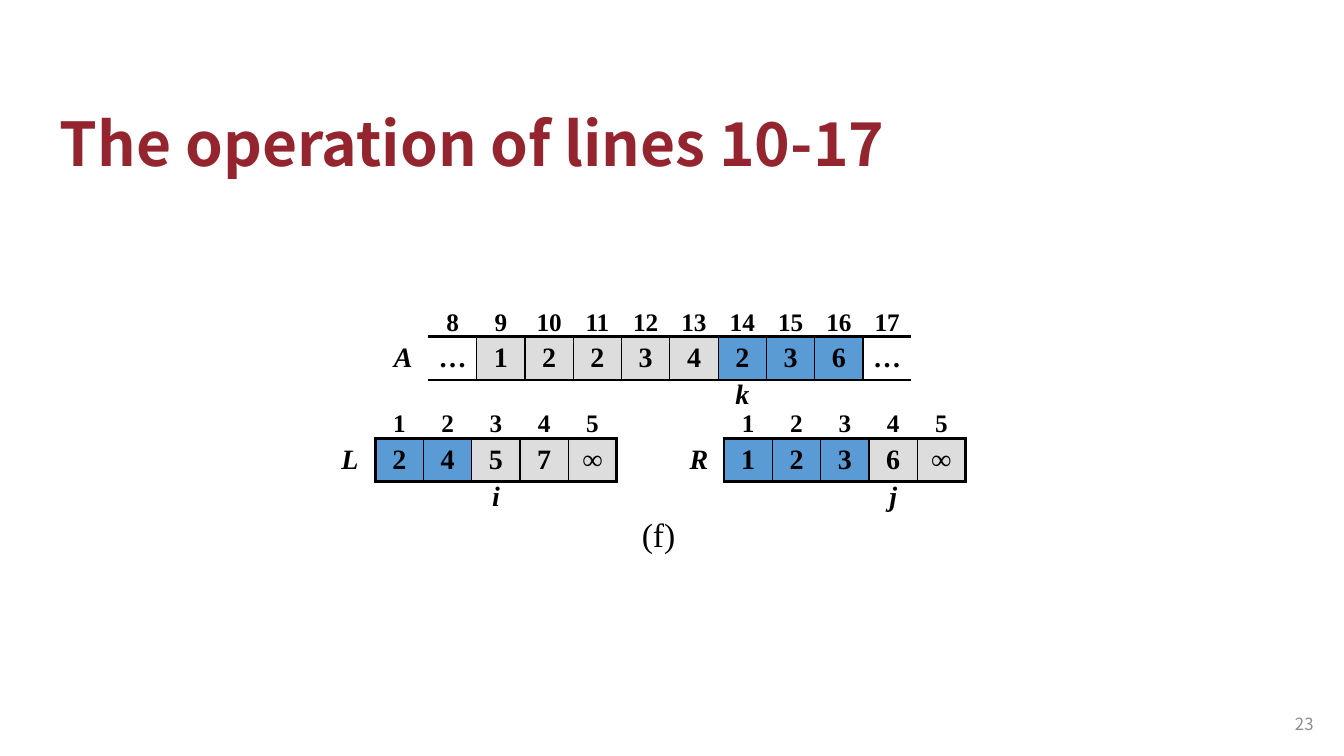
from lxml import etree
from pptx import Presentation
from pptx.dml.color import RGBColor
from pptx.enum.text import MSO_ANCHOR, PP_ALIGN
from pptx.oxml.ns import qn
from pptx.util import Pt

TOP, MIDDLE, BOTTOM = MSO_ANCHOR.TOP, MSO_ANCHOR.MIDDLE, MSO_ANCHOR.BOTTOM
LEFT, CENTER, RIGHT = PP_ALIGN.LEFT, PP_ALIGN.CENTER, PP_ALIGN.RIGHT

TITLE = "The operation of lines 10-17"
PAGE = "23"
CAPTION = "(f)"
ARRAYS = [
    {"name": "A", "at": (270, 212.4), "first": 8, "values": "… 1 2 2 3 4 2 3 6 …",
     "blue": (6, 7, 8), "plain": (0, 9), "pointer": ("k", 6), "closed": False},
    {"name": "L", "at": (232, 285.1), "first": 1, "values": "2 4 5 7 ∞",
     "blue": (0, 1), "plain": (), "pointer": ("i", 2), "closed": True},
    {"name": "R", "at": (481.2, 285.1), "first": 1, "values": "1 2 3 6 ∞",
     "blue": (0, 1, 2), "plain": (), "pointer": ("j", 3), "closed": True},
]

COLORS = {"title": "94252E", "page": "8C8C8C", "ink": "000000",
          "grey": "DDDDDD", "blue": "5B9BD5"}
SANS, SERIF = "Noto Sans CJK SC", "Times New Roman"
LABEL_W, CELL_W = 36, 34.5
ROW_HEIGHTS = (28, 31, 27.6)
THICK, THIN = 2.25, 1
NO_STYLE = "{2D5ABB26-0587-4C30-8999-92F81FD0307C}"


def write(tf, text, color, align=CENTER, **font):
    p = tf.paragraphs[0]
    p.alignment = align
    r = p.add_run()
    r.text = text
    r.font.color.rgb = RGBColor.from_string(COLORS[color])
    for key, value in font.items():
        setattr(r.font, key, value)
    return p


def add_text(s, box, text, color, align, **font):
    sp = s.shapes.add_textbox(*map(Pt, box))
    write(sp.text_frame, text, color, align, **font)
    return sp.text_frame


def set_borders(cell, widths):
    tc_pr = cell._tc.get_or_add_tcPr()
    for side in "LRTB":
        ln = etree.SubElement(tc_pr, qn(f"a:ln{side}"))
        if side in widths:
            ln.set("w", str(Pt(widths[side])))
            fill = etree.SubElement(ln, qn("a:solidFill"))
            etree.SubElement(fill, qn("a:srgbClr"), val=COLORS["ink"])
        else:
            ln.set("w", "0")
            etree.SubElement(ln, qn("a:noFill"))


def borders_for(row, col, count, closed):
    if col == 0:
        return {"R": THICK} if row == 1 and closed else {}
    if row != 1:
        return {"B": THICK} if row == 0 else {"T": THICK}
    widths = {"L": THIN, "R": THIN, "T": THICK, "B": THICK}
    for side, edge in (("L", 1), ("R", count)):
        if col == edge:
            widths[side] = THICK
            if not closed:
                del widths[side]
    return widths


def add_array(s, array):
    values = array["values"].split()
    count = len(values)
    pointer, pointer_index = array["pointer"]
    rows = [
        [""] + [str(array["first"] + i) for i in range(count)],
        [array["name"]] + values,
        [""] + [pointer if i == pointer_index else "" for i in range(count)],
    ]
    x, y = array["at"]
    frame = s.shapes.add_table(3, count + 1, Pt(x), Pt(y),
                               Pt(LABEL_W + count * CELL_W), Pt(sum(ROW_HEIGHTS)))
    table = frame.table
    table.first_row = table.horz_banding = False
    table._tbl.tblPr.find(qn("a:tableStyleId")).text = NO_STYLE
    for col, column in enumerate(table.columns):
        column.width = Pt(CELL_W if col else LABEL_W)
    for row, texts in enumerate(rows):
        table.rows[row].height = Pt(ROW_HEIGHTS[row])
        for col, text in enumerate(texts):
            cell = table.cell(row, col)
            cell.vertical_anchor = (BOTTOM, MIDDLE, TOP)[row]
            cell.margin_top = Pt(3.6 if text and row < 2 else 0)
            cell.margin_bottom = Pt(3.6 if text and row > 0 else 0)
            set_borders(cell, borders_for(row, col, count, array["closed"]))
            index = col - 1
            if row == 1 and col and index not in array["plain"]:
                cell.fill.solid()
                shade = "blue" if index in array["blue"] else "grey"
                cell.fill.fore_color.rgb = RGBColor.from_string(COLORS[shade])
            else:
                cell.fill.background()
            if text:
                write(cell.text_frame, text, "ink", name=SERIF, bold=True,
                      size=Pt(20 if row else 18),
                      italic=row == 2 or (row == 1 and col == 0))


def main():
    prs = Presentation()
    prs.slide_width, prs.slide_height = Pt(960), Pt(540)
    s = prs.slides.add_slide(prs.slide_layouts[5])

    title = s.shapes.title
    title.left, title.top, title.width, title.height = map(Pt, (35.6, 63.4, 607, 68.4))
    title.text_frame.vertical_anchor = BOTTOM
    p = write(title.text_frame, TITLE, "title", LEFT, name=SANS, size=Pt(43.2), bold=True)
    p.line_spacing = 0.9

    for array in ARRAYS:
        add_array(s, array)

    add_text(s, (451.4, 363.6, 38.2, 36), CAPTION, "ink", LEFT,
             name=SERIF, size=Pt(24)).word_wrap = False
    tf = add_text(s, (902.2, 502.6, 43.2, 28.8), PAGE, "page", RIGHT,
                  name=SANS, size=Pt(12))
    tf.word_wrap = True
    tf.vertical_anchor = MIDDLE

    prs.save("out.pptx")


if __name__ == "__main__":
    main()
